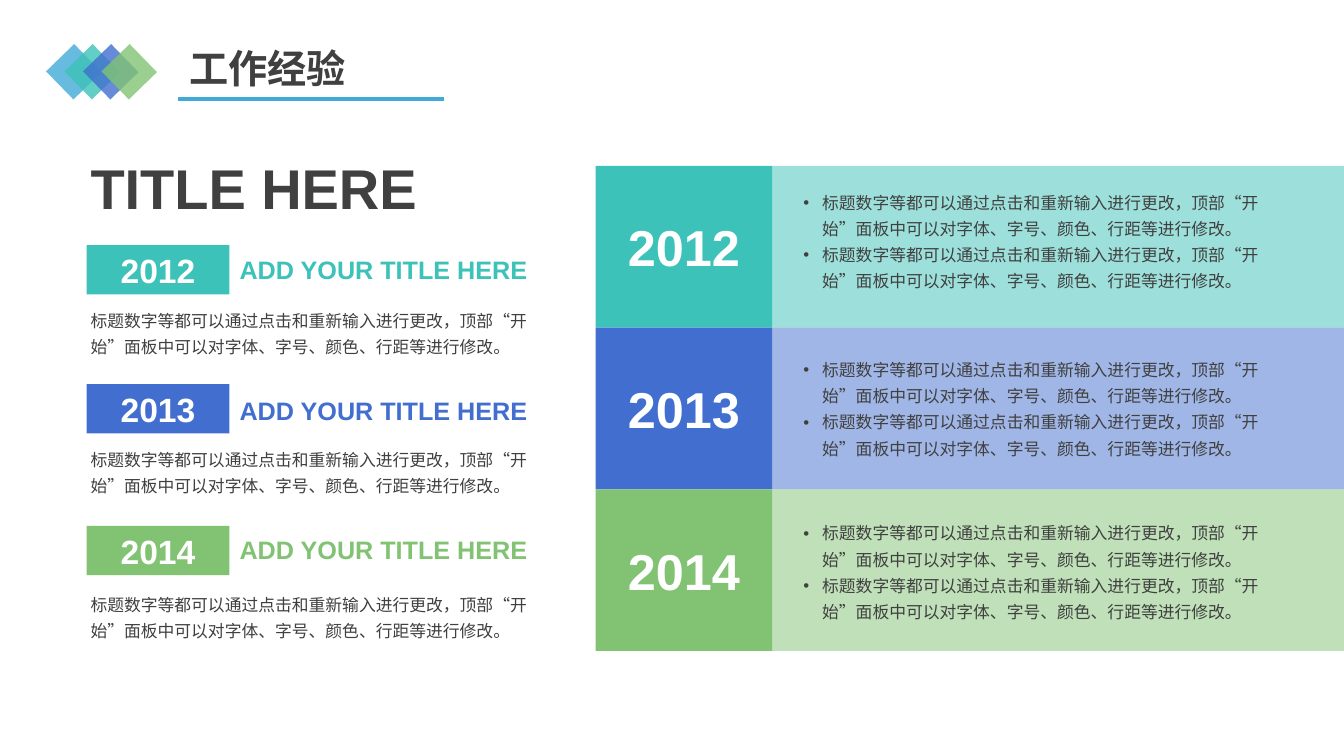
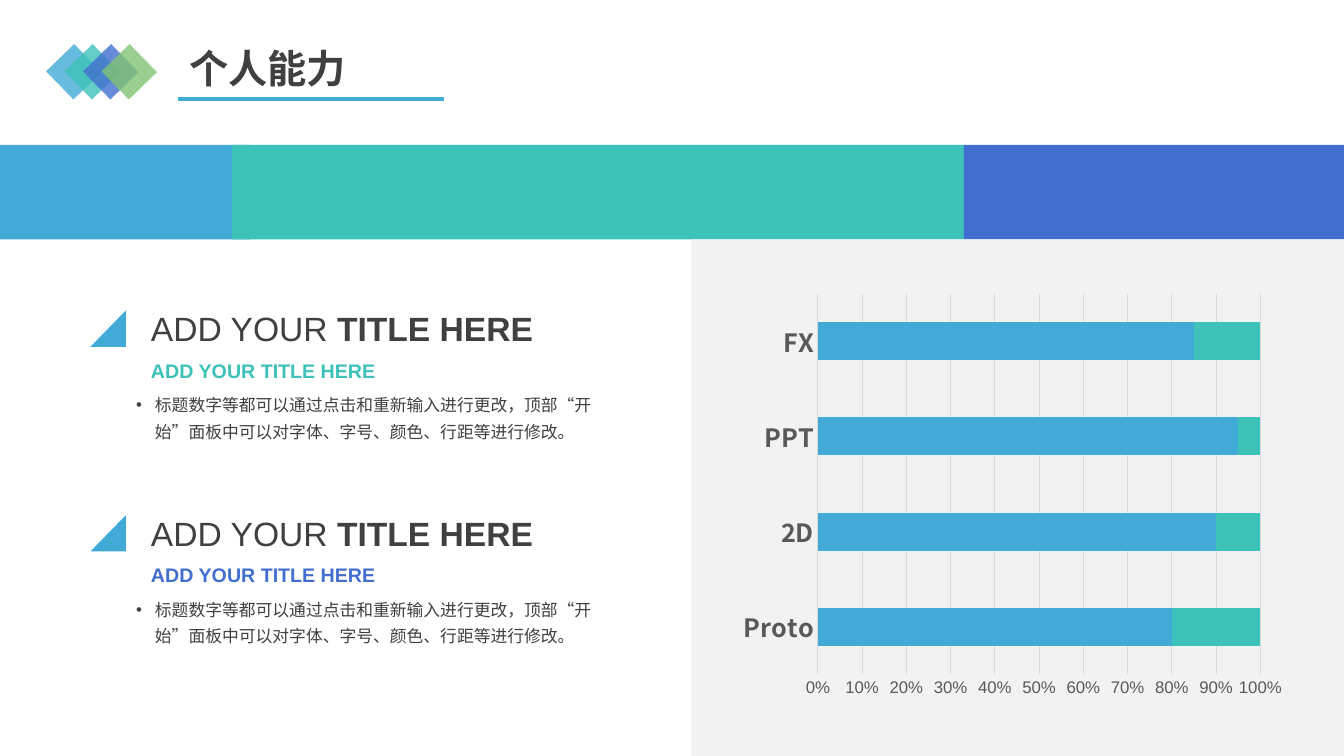
from lxml import etree
from pptx import Presentation
from pptx.chart.data import CategoryChartData
from pptx.dml.color import RGBColor
from pptx.enum.chart import XL_CHART_TYPE, XL_TICK_MARK
from pptx.enum.shapes import MSO_CONNECTOR, MSO_SHAPE
from pptx.enum.text import MSO_ANCHOR, MSO_AUTO_SIZE, PP_ALIGN
from pptx.oxml.ns import qn
from pptx.util import Pt

RECTANGLE = MSO_SHAPE.RECTANGLE
TRIANGLE = MSO_SHAPE.ISOSCELES_TRIANGLE
LEFT, CENTER = PP_ALIGN.LEFT, PP_ALIGN.CENTER
TOP, MIDDLE = MSO_ANCHOR.TOP, MSO_ANCHOR.MIDDLE
NO_TICKS = XL_TICK_MARK.NONE

COLORS = {
    "blue": "41AAD7", "teal": "3CC2B8", "indigo": "426FCF", "green": "81C373",
    "text": "404040", "white": "FFFFFF", "panel": "F2F2F2",
    "axis": "595959", "grid": "D9D9D9",
}
RGB = {name: RGBColor.from_string(value) for name, value in COLORS.items()}
LATIN, CHINESE = "Arial", "Noto Sans CJK SC"
BODY = "标题数字等都可以通过点击和重新输入进行更改，顶部“开始”面板中可以对字体、字号、颜色、行距等进行修改。"
BODY_FORMAT = {"size": 12, "font": CHINESE, "spacing": 1.3}
SUBTITLE = "ADD YOUR TITLE HERE"


def write_text(shape, *paragraphs, box=None, size=12, font=LATIN, color="text",
               bold=False, bold_tail="", align=LEFT, anchor=TOP, spacing=1.0,
               bullet=False):
    """Fill a shape with formatted paragraphs; box is left, top, width, height."""
    if box:
        shape.left, shape.top, shape.width, shape.height = map(Pt, box)
    frame = shape.text_frame
    frame.word_wrap = True
    frame.auto_size = MSO_AUTO_SIZE.NONE
    frame.vertical_anchor = anchor
    for index, text in enumerate(paragraphs):
        paragraph = frame.paragraphs[0] if index == 0 else frame.add_paragraph()
        paragraph.alignment = align
        paragraph.line_spacing = spacing
        paragraph.space_before = Pt(0)
        if bullet:
            properties = paragraph._p.get_or_add_pPr()
            properties.set("marL", str(Pt(13.5)))
            properties.set("indent", str(-Pt(13.5)))
            etree.SubElement(properties, qn("a:buFont"), typeface=LATIN)
            etree.SubElement(properties, qn("a:buChar"), char="•")
        runs = [(text, bold)] + ([(bold_tail, True)] if bold_tail else [])
        for run_text, run_bold in runs:
            run = paragraph.add_run()
            run.text = run_text
            run.font.size = Pt(size)
            run.font.bold = run_bold
            run.font.color.rgb = RGB[color]
            run.font.name = font
            etree.SubElement(run.font._element, qn("a:ea"), typeface=font)


def add_block(slide, box, color, kind=RECTANGLE, opacity=100):
    """Add a borderless filled shape."""
    shape = slide.shapes.add_shape(kind, *map(Pt, box))
    shape.shadow.inherit = False
    shape.fill.solid()
    shape.fill.fore_color.rgb = RGB[color]
    shape.line.fill.background()
    if opacity < 100:
        color_element = shape.element.spPr.find(".//" + qn("a:srgbClr"))
        etree.SubElement(color_element, qn("a:alpha"), val=str(opacity * 1000))
    return shape


presentation = Presentation()
presentation.slide_width, presentation.slide_height = Pt(960), Pt(540)

# Shared layout: title place, no footers
layout = presentation.slide_layouts.get_by_name("Comparison")
for placeholder in list(layout.placeholders):
    if placeholder.placeholder_format.idx >= 10:
        placeholder.element.getparent().remove(placeholder.element)
title = layout.placeholders[0]
title.left, title.top, title.width, title.height = map(Pt, (128, 31.7, 194, 39.6))

# Slides, with their titles and list placeholders
slides, lists = [], []
for heading, list_count in (("工作经验", 3), ("个人能力", 2)):
    slide = presentation.slides.add_slide(layout)
    write_text(slide.shapes.title, heading, size=28, font=CHINESE, bold=True, spacing=0.9)
    bodies = list(slide.placeholders)[1:]
    for unused in bodies[list_count:]:
        unused.element.getparent().remove(unused.element)
    slides.append(slide)
    lists.append(bodies[:list_count])
experience, skills = slides

# Diamonds and title rule, moved to the layout so that both slides show them
decorations = []
for index, color in enumerate(("blue", "teal", "indigo", "green")):
    diamond = add_block(experience, (38.7 + index * 13.2, 37.3, 28, 28), color, opacity=80)
    diamond.rotation = 45.8
    decorations.append(diamond)
rule = experience.shapes.add_connector(
    MSO_CONNECTOR.STRAIGHT, Pt(127.4), Pt(71), Pt(317.4), Pt(71))
rule.line.color.rgb = RGB["blue"]
rule.line.width = Pt(3)
etree.SubElement(rule.element.spPr, qn("a:effectLst"))
decorations.append(rule)
for decoration in decorations:
    layout.shapes.element.append(decoration.element)

# Experience: heading
write_text(experience.shapes.add_textbox(0, 0, 0, 0), "TITLE HERE",
           box=(57.6, 105.8, 291, 55.4), size=40, bold=True)

# Experience: one summary and one band for each year
years = (  # year, color, tops of tag, subtitle, summary and list
    ("2012", "teal", 175, 177.8, 213.8, 129.6),
    ("2013", "indigo", 274.3, 279, 313.5, 249.1),
    ("2014", "green", 375.6, 378, 416.9, 365.8),
)
BAND_TOP, BAND_HEIGHT = 118.5, 115.5
for index, (year, color, tag_top, subtitle_top, summary_top, list_top) in enumerate(years):
    tag = add_block(experience, (61.9, tag_top, 102, 35.3), color)
    write_text(tag, year, size=24, color="white", bold=True, align=CENTER, anchor=MIDDLE)
    write_text(experience.shapes.add_textbox(0, 0, 0, 0), SUBTITLE,
               box=(164, subtitle_top, 228, 30), size=18, color=color, bold=True)
    write_text(experience.shapes.add_textbox(0, 0, 0, 0), BODY,
               box=(57.6, summary_top, 335, 45.4), **BODY_FORMAT)

    band_top = BAND_TOP + index * BAND_HEIGHT
    year_block = add_block(experience, (425.5, band_top, 126, BAND_HEIGHT), color)
    write_text(year_block, year, size=36, color="white", bold=True,
               align=CENTER, anchor=MIDDLE)
    add_block(experience, (551.5, band_top, 408.5, BAND_HEIGHT), color, opacity=50)
    year_list = lists[0][index]
    experience.shapes.element.append(year_list.element)
    write_text(year_list, BODY, BODY, box=(566.6, list_top, 369.4, 82.8),
               bullet=True, **BODY_FORMAT)

# Skills: color band and chart panel
for left, width, color in ((0, 178.6, "blue"), (165.6, 523, "teal"), (688.5, 271.5, "indigo")):
    add_block(skills, (left, 103.5, width, 67.5), color)
add_block(skills, (494, 171, 466, 369), "panel")

# Skills: two text groups
for index, color in enumerate(("teal", "indigo")):
    top = 216.7 + index * 146.2
    marker = add_block(skills, (64.6, top + 5, 25.4, 26), "blue", kind=TRIANGLE)
    marker.adjustments[0] = 1
    write_text(skills.shapes.add_textbox(0, 0, 0, 0), "ADD YOUR ",
               box=(100.8, top, 291, 36), size=24, bold_tail="TITLE HERE")
    write_text(skills.shapes.add_textbox(0, 0, 0, 0), SUBTITLE,
               box=(100.8, top + 36, 371, 24.5), size=14, color=color, bold=True)
    write_text(lists[1][index], BODY, box=(90, top + 57.6, 363.6, 45.4),
               bullet=True, **BODY_FORMAT)

# Skills: chart
chart_data = CategoryChartData()
chart_data.categories = ["Proto", "2D", "PPT", "FX"]
chart_data.add_series("Series 1", (80, 90, 95, 85))
chart_data.add_series("Series 2", (20, 10, 5, 15))
chart = skills.shapes.add_chart(XL_CHART_TYPE.BAR_STACKED_100, Pt(523.4), Pt(203.8),
                                Pt(400.3), Pt(299.5), chart_data).chart
chart.has_title = False
chart.has_legend = False
chart.font.size = Pt(10)
chart.font.name = LATIN
plot = chart.plots[0]
plot.vary_by_categories = False
plot.gap_width = 150
plot.overlap = 100
for series, color in zip(plot.series, ("blue", "teal")):
    series.format.fill.solid()
    series.format.fill.fore_color.rgb = RGB[color]

for axis, size, bold, font in ((chart.category_axis, 18, True, CHINESE),
                               (chart.value_axis, 12, False, LATIN)):
    axis.major_tick_mark = axis.minor_tick_mark = NO_TICKS
    label_font = axis.tick_labels.font
    label_font.size = Pt(size)
    label_font.bold = bold
    label_font.color.rgb = RGB["axis"]
    label_font.name = font
chart.value_axis.tick_labels.number_format = "0%"
chart.value_axis.tick_labels.number_format_is_linked = False
chart.value_axis.format.line.fill.background()
chart.value_axis.has_major_gridlines = True
for line in (chart.category_axis.format.line, chart.value_axis.major_gridlines.format.line):
    line.color.rgb = RGB["grid"]
    line.width = Pt(0.75)

presentation.save("out.pptx")
